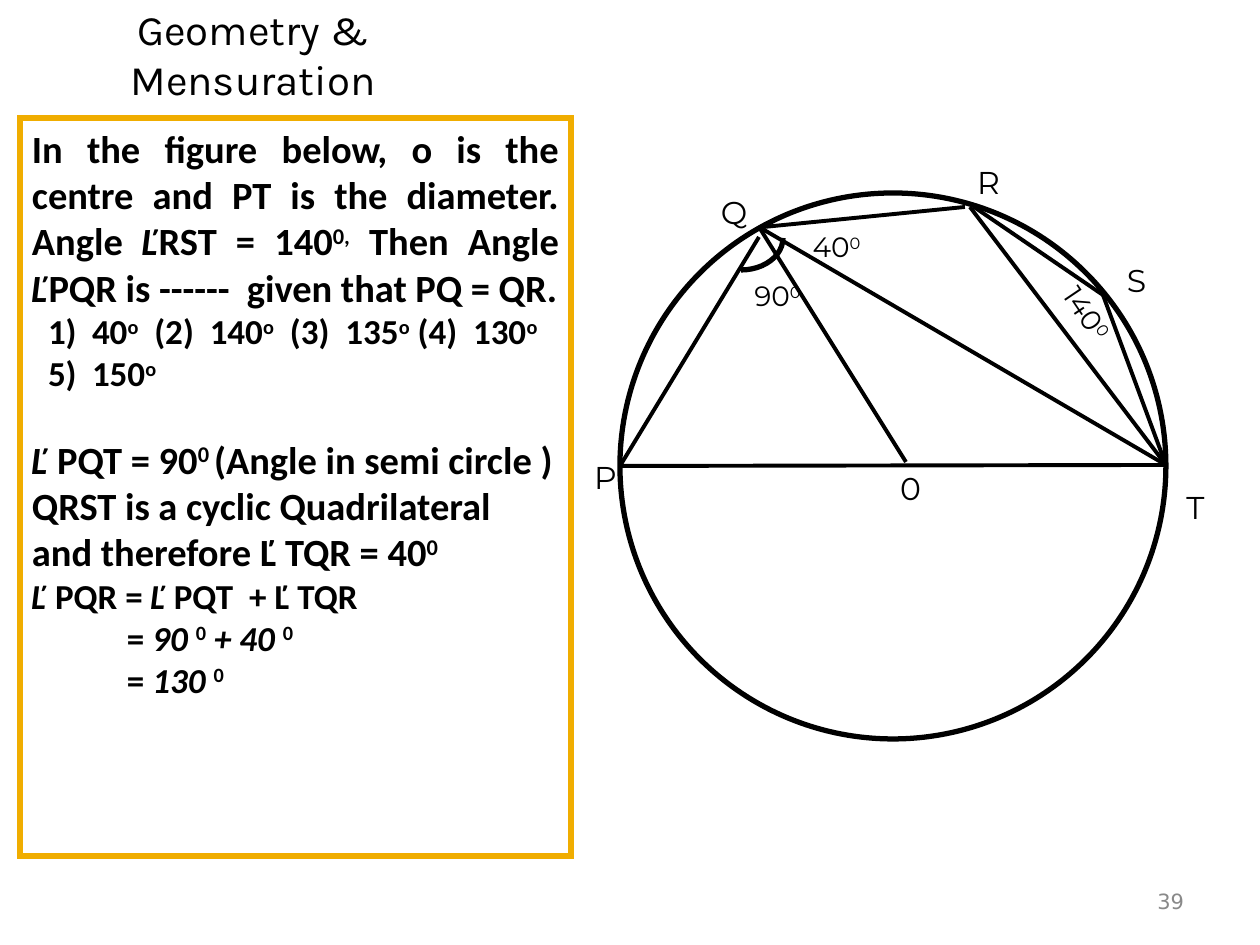
from lxml import etree
from pptx import Presentation
from pptx.dml.color import RGBColor
from pptx.enum.shapes import MSO_CONNECTOR, MSO_SHAPE
from pptx.enum.text import MSO_ANCHOR, PP_ALIGN
from pptx.oxml.ns import qn
from pptx.util import Pt

EMU_PER_PX = 914400 // 126
CENTER, RIGHT, JUSTIFY = PP_ALIGN.CENTER, PP_ALIGN.RIGHT, PP_ALIGN.JUSTIFY
TOP, MIDDLE = MSO_ANCHOR.TOP, MSO_ANCHOR.MIDDLE
STRAIGHT = MSO_CONNECTOR.STRAIGHT
RECTANGLE, OVAL, ARC = MSO_SHAPE.RECTANGLE, MSO_SHAPE.OVAL, MSO_SHAPE.ARC

BLACK, GOLD, GRAY = "000000", "F0AD00", "898989"
BODY_FORMAT = {"name": "Calibri", "bold": True}
TITLE_FORMAT = {"name": "Karla", "size": Pt(24)}
POINT_FORMAT = {"name": "Montserrat", "size": Pt(18)}
ANGLE_FORMAT = {"name": "Montserrat", "size": Pt(16)}
NUMBER_FORMAT = {"name": "DejaVu Sans", "size": Pt(12)}
ITALIC, RAISED = "italic", "raised"

PROBLEM = [
    {"size": 22, "runs": [
        ("In the figure below, o is the centre and PT is the diameter. Angle ",),
        ("Ľ", ITALIC), ("RST = 140",), ("0,", RAISED), (" Then Angle ",),
        ("Ľ", ITALIC), ("PQR is ------  given that PQ = QR.",)]},
    {"size": 20, "option": 1, "runs": [
        ("40",), ("o", RAISED), ("  (2)  140",), ("o", RAISED),
        ("  (3)  135",), ("o", RAISED), (" (4)  130",), ("o", RAISED)]},
    {"size": 20, "option": 5, "runs": [("150",), ("o", RAISED)]},
    {"size": 22, "before": 24, "runs": [
        ("Ľ ", ITALIC), ("PQT = 90",), ("0 ", RAISED), ("(Angle in semi circle )",)]},
    {"size": 22, "runs": [("QRST is a cyclic Quadrilateral",)]},
    {"size": 22, "runs": [("and therefore Ľ TQR = 40",), ("0", RAISED)]},
    {"size": 20, "runs": [
        ("Ľ ", ITALIC), ("PQR = ",), ("Ľ ", ITALIC), ("PQT  + Ľ TQR",)]},
    {"size": 20, "indent": 95, "runs": [
        ("= ",), ("90 ", ITALIC), ("0", RAISED), (" + 40 ", ITALIC), ("0 ", RAISED)]},
    {"size": 20, "indent": 95, "runs": [("= ",), ("130 ", ITALIC), ("0", RAISED)]},
]
CIRCLE = (620, 193, 546, 546)
P, Q, R, S, T = (620, 466), (759, 227), (970, 207), (1103, 295), (1166, 465)
CHORDS = [
    (P, T), ((764, 227), (965, 207)), (Q, T), ((759, 237), P),
    ((974, 207), S), (S, T), (Q, (906, 462)), (R, T),
]
POINT_LABELS = [
    ("Q", 708, 187), ("P", 581, 452), ("S", 1112, 255),
    ("T", 1171, 482), ("R", 964, 157), ("0", 886, 463),
]
ANGLE_LABELS = [
    ("90", (738, 276, 79, 39), 0),
    ("140", (1038, 294, 98, 38), 56),
    ("40", (797, 227, 79, 39), 0),
]


def px(*lengths):
    return [length * EMU_PER_PX for length in lengths]


def color(value):
    return RGBColor.from_string(value)


def add_outline(slide, preset, box, line_color):
    shape = slide.shapes.add_shape(preset, *px(*box))
    shape.shadow.inherit = False
    shape.fill.background()
    shape.line.color.rgb = color(line_color)
    shape.line.width = Pt(3)
    etree.SubElement(shape.line._get_or_add_ln(), qn("a:miter"), lim="800000")
    return shape


def add_line(slide, start, end):
    line = slide.shapes.add_connector(STRAIGHT, *px(*start, *end))
    line.line.color.rgb = color(BLACK)
    line.line.width = Pt(2.25)
    etree.SubElement(line._element.spPr, qn("a:effectLst"))


def add_runs(paragraph, runs, font_format, text_color=BLACK):
    for text, *styles in runs:
        run = paragraph.add_run()
        run.text = text
        for name, value in font_format.items():
            setattr(run.font, name, value)
        run.font.color.rgb = color(text_color)
        run.font.italic = ITALIC in styles
        if RAISED in styles:
            run._r.get_or_add_rPr().set("baseline", "30000")


def set_frame(frame, anchor, wrap, insets=(13, 6, 13, 6)):
    margins = dict(zip(("margin_left", "margin_top", "margin_right", "margin_bottom"),
                       px(*insets)))
    for name, value in {"vertical_anchor": anchor, "word_wrap": wrap, **margins}.items():
        setattr(frame, name, value)


def add_label(slide, box, runs, font_format, align=CENTER, text_color=BLACK, wrap=False):
    label = slide.shapes.add_textbox(*px(*box))
    set_frame(label.text_frame, MIDDLE, wrap)
    paragraph = label.text_frame.paragraphs[0]
    paragraph.alignment = align
    add_runs(paragraph, runs, font_format, text_color)
    return label


def indent_paragraph(paragraph, left, first=0):
    properties = paragraph._p.get_or_add_pPr()
    for name, value in zip(("marL", "indent"), px(left, first)):
        properties.set(name, str(value))
    return properties


def add_problem(slide):
    panel = add_outline(slide, RECTANGLE, (20, 118, 551, 738), GOLD)
    frame = panel.text_frame
    set_frame(frame, TOP, True, (12, 7, 12, 6))
    for index, content in enumerate(PROBLEM):
        paragraph = frame.add_paragraph() if index else frame.paragraphs[0]
        paragraph.alignment = JUSTIFY
        if "before" in content:
            paragraph.space_before = Pt(content["before"])
        if "indent" in content:
            indent_paragraph(paragraph, content["indent"])
        if "option" in content:
            properties = indent_paragraph(paragraph, 60, -44)
            etree.SubElement(properties, qn("a:buFont"), typeface="+mj-lt")
            etree.SubElement(properties, qn("a:buAutoNum"), type="arabicParenR",
                             startAt=str(content["option"]))
        add_runs(paragraph, content["runs"], {**BODY_FORMAT, "size": Pt(content["size"])})


def add_figure(slide):
    add_outline(slide, OVAL, CIRCLE, BLACK)
    for start, end in CHORDS:
        add_line(slide, start, end)
    angle_mark = add_outline(slide, ARC, (699, 206, 84, 64), BLACK)
    angle_mark.adjustments[0] = 0
    angle_mark.adjustments[1] = 54
    for text, left, top in POINT_LABELS:
        add_label(slide, (left, top, 49, 49), [(text,)], POINT_FORMAT)
    for text, box, rotation in ANGLE_LABELS:
        label = add_label(slide, box, [(text,), ("0", RAISED)], ANGLE_FORMAT)
        label.rotation = rotation


def main():
    presentation = Presentation()
    presentation.slide_width, presentation.slide_height = px(1260, 945)
    slide = presentation.slides.add_slide(presentation.slide_layouts[6])
    add_problem(slide)
    add_figure(slide)
    add_label(slide, (20, 29, 466, 49), [("Geometry & Mensuration",)], TITLE_FORMAT, wrap=True)
    add_label(slide, (903, 876, 294, 50), [("39",)], NUMBER_FORMAT, RIGHT, GRAY)
    presentation.save("out.pptx")


if __name__ == "__main__":
    main()
